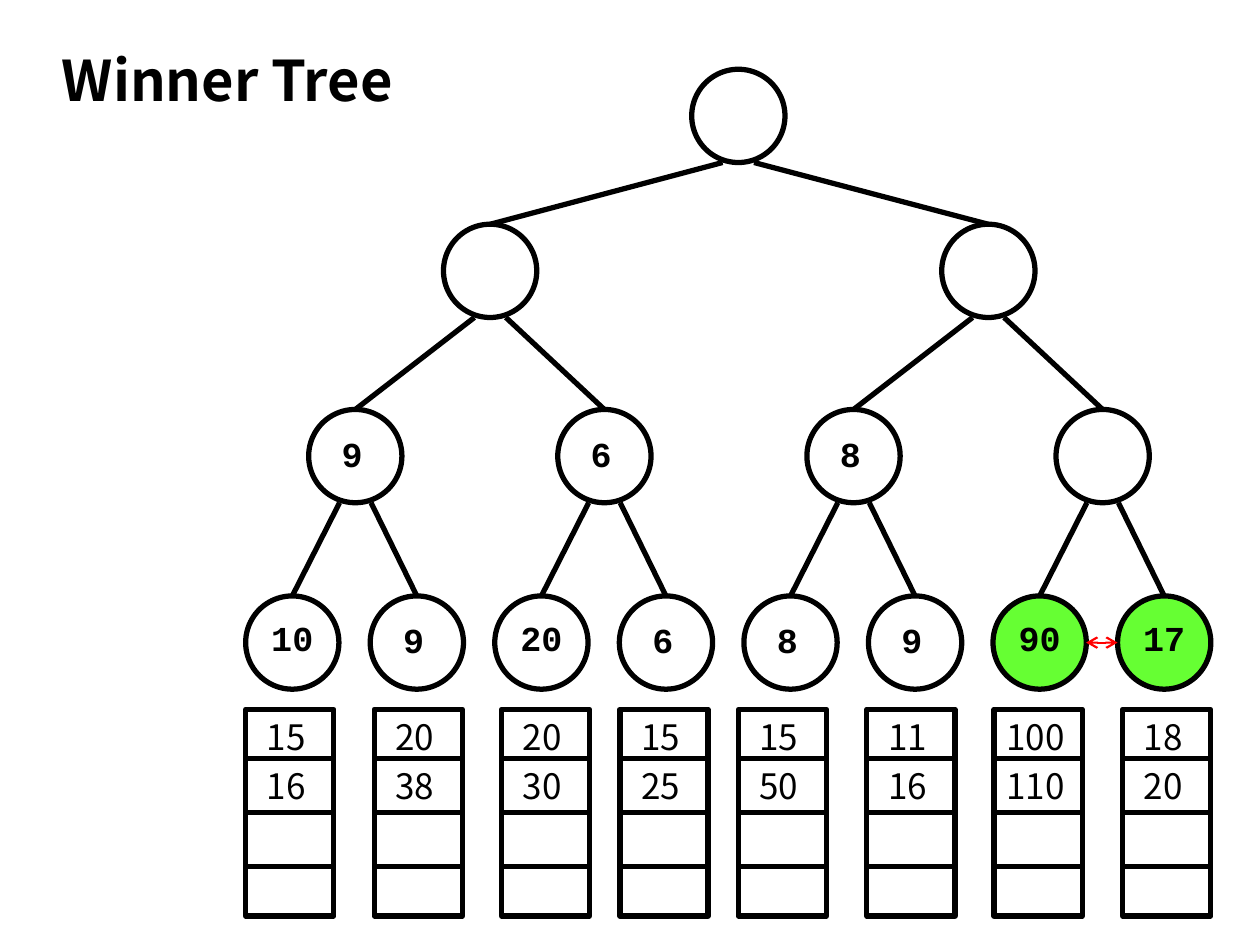
import pptx
import pptx.util
import pptx.dml.color
import pptx.enum.shapes
import pptx.enum.text
import pptx.oxml
import pptx.oxml.ns

Inches = pptx.util.Inches
SHAPE = pptx.enum.shapes.MSO_SHAPE
ALIGN = pptx.enum.text.PP_ALIGN

BLACK, GREEN, RED = "000000", "66FF33", "FF0000"
SANS, MONO = "Noto Sans CJK KR", "Courier New"

NODE = 0.74
LEAF_GAP = 6.92 / 7
EDGE_DX = 0.125
LEVELS = [
    (5.49, 0.55, [""]),
    (3.52, 1.78, ["", ""]),
    (2.45, 3.25, ["9", "6", "8", ""]),
    (1.95, 4.73, ["10", "9", "20", "6", "8", "9", "90", "17"]),
]
COMPARED = {"90", "17"}

LIST_TOP, LIST_WIDTH, LIST_HEIGHT = 5.63, 0.7, 1.64
DIVIDERS = [6.02, 6.45, 6.88]
LISTS = [
    (1.95, ["15", "16"]),
    (2.97, ["20", "38"]),
    (3.98, ["20", "30"]),
    (4.92, ["15", "25"]),
    (5.86, ["15", "50"]),
    (6.88, ["11", "16"]),
    (7.89, ["100", "110"]),
    (8.91, ["18", "20"]),
]


def rgb(color):
    """Turn a hex string into a colour."""
    return pptx.dml.color.RGBColor.from_string(color)


def format_text(tf, text, size, font, bold=False, align=ALIGN.LEFT):
    """Put one formatted line of text in a frame."""
    tf.text = text
    tf.word_wrap = True
    tf.vertical_anchor = pptx.enum.text.MSO_ANCHOR.TOP
    p = tf.paragraphs[0]
    p.alignment = align
    r = p.runs[0]
    r.font.size = pptx.util.Pt(size)
    r.font.name = font
    r.font.bold = bold
    r.font.color.rgb = rgb(BLACK)


def add_text(shapes, x, y, w, text, font, bold=False, align=ALIGN.LEFT):
    """Add a one-line label."""
    tb = shapes.add_textbox(Inches(x), Inches(y), Inches(w), Inches(0.44))
    format_text(tb.text_frame, text, 20, font, bold, align)
    tb.text_frame.auto_size = pptx.enum.text.MSO_AUTO_SIZE.SHAPE_TO_FIT_TEXT


def add_outline(shapes, kind, x, y, w, h, fill=None):
    """Add a black outlined shape, filled only when a colour is given."""
    sp = shapes.add_shape(kind, Inches(x), Inches(y), Inches(w), Inches(h))
    sp.shadow.inherit = False
    if fill:
        sp.fill.solid()
        sp.fill.fore_color.rgb = rgb(fill)
    else:
        sp.fill.background()
    sp.line.color.rgb = rgb(BLACK)
    sp.line.width = pptx.util.Pt(3)


def add_line(shapes, x1, y1, x2, y2, color=BLACK, width=3, arrows=False):
    """Add a straight line, with an arrowhead at both ends if asked."""
    kind = pptx.enum.shapes.MSO_CONNECTOR.STRAIGHT
    cn = shapes.add_connector(kind, Inches(x1), Inches(y1), Inches(x2), Inches(y2))
    cn.line.color.rgb = rgb(color)
    cn.line.width = pptx.util.Pt(width)
    sub = pptx.oxml.ns.qn
    if arrows:
        ln = cn.line._get_or_add_ln()
        for tag in ("a:headEnd", "a:tailEnd"):
            ln.append(ln.makeelement(sub(tag), {"type": "arrow"}))
    sp_pr = cn._element.spPr
    sp_pr.append(sp_pr.makeelement(sub("a:effectLst"), {}))


def add_node(s, x, y, key):
    """Add a tree node with its key."""
    shapes = s.shapes.add_group_shape().shapes
    fill = GREEN if key in COMPARED else None
    add_outline(shapes, SHAPE.OVAL, x, y, NODE, NODE, fill)
    if key:
        dx, dy, w = (0.08, 0.13, 0.53) if len(key) == 1 else (0.02, 0.11, 0.7)
        add_text(shapes, x + dx, y + dy, w, key, MONO, True, ALIGN.CENTER)


def add_tree(s):
    """Add all nodes, then the edges from each child to its parent."""
    rows = []
    for left, top, keys in LEVELS:
        gap = LEAF_GAP * 8 / len(keys)
        rows.append([(left + i * gap, top) for i in range(len(keys))])
        for (x, y), key in zip(rows[-1], keys):
            add_node(s, x, y, key)
    for parents, children in zip(rows, rows[1:]):
        for i, (x, y) in enumerate(children):
            px, py = parents[i // 2]
            dx = EDGE_DX if i % 2 else -EDGE_DX
            add_line(s.shapes, x + NODE / 2, y, px + NODE / 2 + dx, py + NODE)


def add_list(s, x, values):
    """Add the column of waiting values under a leaf."""
    shapes = s.shapes.add_group_shape().shapes
    add_outline(shapes, SHAPE.RECTANGLE, x, LIST_TOP, LIST_WIDTH, LIST_HEIGHT)
    for y in DIVIDERS:
        add_line(shapes, x, y, x + LIST_WIDTH, y)
    for y, value in zip([LIST_TOP] + DIVIDERS, values):
        dx, w = (0, 0.71) if len(value) > 2 else (0.07, 0.56)
        add_text(shapes, x + dx, y, w, value, SANS)


def add_title(s, text):
    """Place and format the slide title."""
    sp = s.shapes.title
    sp.left, sp.top = Inches(0.39), Inches(0.31)
    sp.width, sp.height = Inches(3.36), Inches(0.64)
    format_text(sp.text_frame, text, 32, SANS, True)
    sp.text_frame.auto_size = pptx.enum.text.MSO_AUTO_SIZE.SHAPE_TO_FIT_TEXT


def main():
    """Build the winner tree slide."""
    prs = pptx.Presentation()
    prs.slide_width, prs.slide_height = Inches(10), Inches(7.5)
    s = prs.slides.add_slide(prs.slide_layouts[5])
    add_title(s, "Winner Tree")
    add_tree(s)
    for x, values in LISTS:
        add_list(s, x, values)
    add_line(s.shapes, 8.62, 5.1, 8.87, 5.1, RED, 1.25, arrows=True)
    prs.save("out.pptx")


if __name__ == "__main__":
    main()
